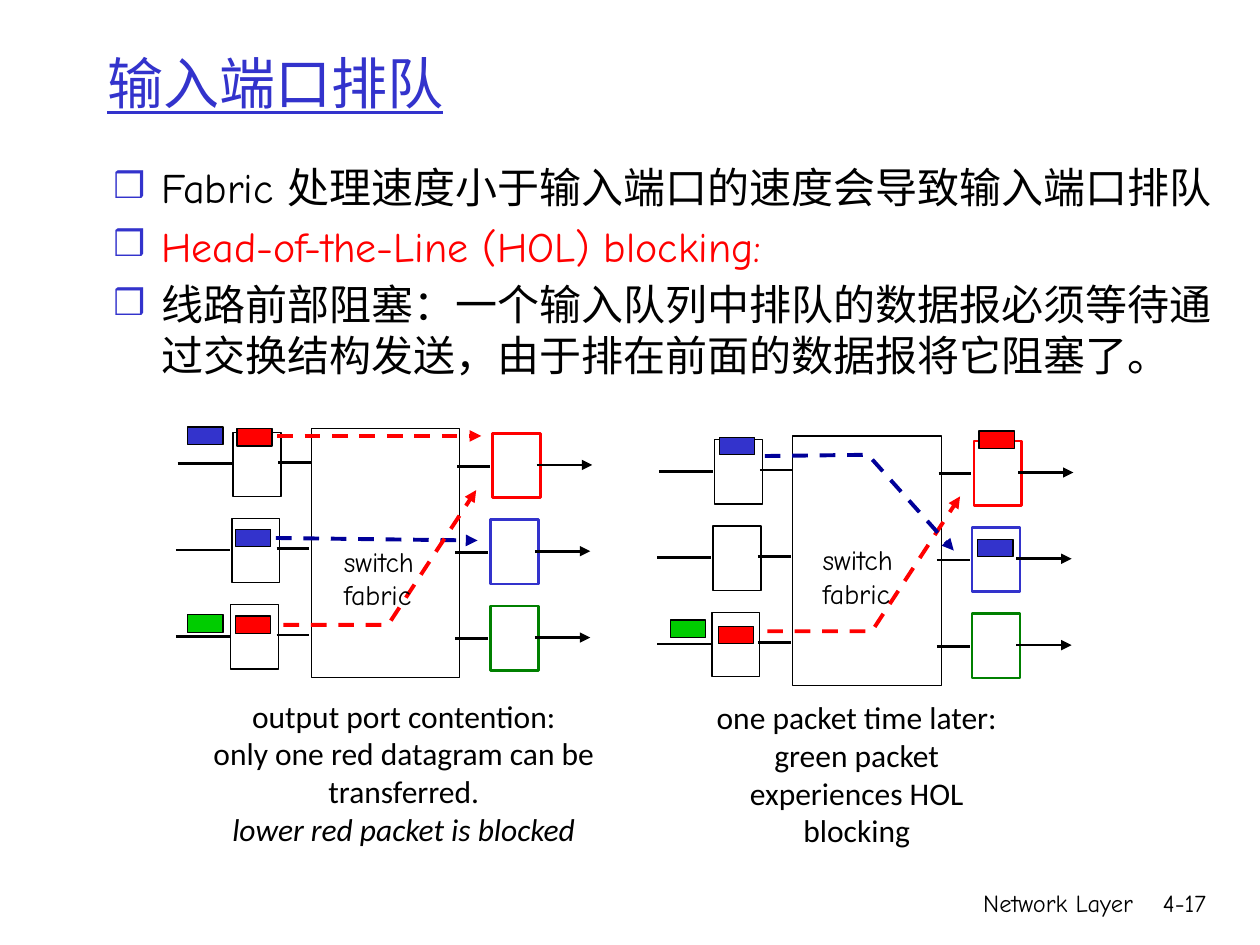
"""Build the slide on input port queuing and head-of-the-line blocking."""
from lxml import etree
from pptx import Presentation
from pptx.dml.color import RGBColor
from pptx.enum.dml import MSO_LINE
from pptx.enum.shapes import MSO_CONNECTOR, MSO_SHAPE
from pptx.enum.text import MSO_ANCHOR, MSO_AUTO_SIZE, PP_ALIGN
from pptx.oxml.ns import qn
from pptx.util import Inches, Pt

LEFT, CENTER, RIGHT = PP_ALIGN.LEFT, PP_ALIGN.CENTER, PP_ALIGN.RIGHT
MIDDLE, TOP = MSO_ANCHOR.MIDDLE, MSO_ANCHOR.TOP
NO_FIT = MSO_AUTO_SIZE.NONE
RECTANGLE, STRAIGHT, DASH = MSO_SHAPE.RECTANGLE, MSO_CONNECTOR.STRAIGHT, MSO_LINE.DASH

BLACK, WHITE, RED, BLUE = "000000", "FFFFFF", "FF0000", "3333CC"
NAVY, GREEN, DARK_GREEN = "000099", "00CC00", "008000"
HAND, PLAIN = "Comic Neue", "Calibri"

ROW_STEP = 0.685
ROW_SHIFTS = (0, -0.015, -0.015)
PORT_COLORS = (RED, BLUE, DARK_GREEN)
LATER_X, LATER_Y = 3.82, 0.06


def rgb(value):
    """Turn a hex string into a colour."""
    return RGBColor.from_string(value)


def write(paragraph, text, size=24, font=HAND, color=BLACK, align=LEFT, italic=False, underline=False):
    """Add a formatted run to a paragraph."""
    paragraph.alignment = align
    run = paragraph.add_run()
    run.text = text
    run.font.size = Pt(size)
    run.font.name = font
    run.font.color.rgb = rgb(color)
    run.font.italic = italic
    run.font.underline = underline


def add_bullet(paragraph):
    """Give a paragraph a hanging box bullet."""
    properties = paragraph._p.get_or_add_pPr()
    properties.set("marL", str(Inches(0.38)))
    properties.set("indent", str(Inches(-0.38)))
    color = etree.SubElement(properties, qn("a:buClr"))
    etree.SubElement(color, qn("a:srgbClr"), val=BLUE)
    etree.SubElement(properties, qn("a:buSzPct"), val="85000")
    etree.SubElement(properties, qn("a:buFont"), typeface=HAND)
    etree.SubElement(properties, qn("a:buChar"), char="❒")


class SlideBuilder:
    """Hold the style and the current slide."""

    def __init__(self, slide):
        """Keep the slide to draw on."""
        self.slide = slide
        self.shapes = slide.shapes

    def place(self, shape, left, top, width, height, anchor):
        """Move a placeholder and return its text frame."""
        shape.left, shape.top = Inches(left), Inches(top)
        shape.width, shape.height = Inches(width), Inches(height)
        frame = shape.text_frame
        frame.word_wrap = True
        frame.auto_size = NO_FIT
        frame.vertical_anchor = anchor
        return frame

    def title(self, text):
        """Fill the title placeholder."""
        frame = self.place(self.shapes.title, 0.75, 0.4, 8.5, 0.5, MIDDLE)
        write(frame.paragraphs[0], text, size=32, color=BLUE, underline=True)

    def bullets(self, items):
        """Fill the body placeholder with coloured bullets."""
        frame = self.place(self.slide.placeholders[1], 0.8, 1.23, 9.02, 3.3, TOP)
        for index, (text, color) in enumerate(items):
            paragraph = frame.paragraphs[0] if index == 0 else frame.add_paragraph()
            if index == 0:
                paragraph.space_before = Pt(0)
            add_bullet(paragraph)
            write(paragraph, text, color=color)

    def text(self, left, top, width, height, lines, wrap=True, **style):
        """Add a text box with one paragraph for each line."""
        box = self.shapes.add_textbox(Inches(left), Inches(top), Inches(width), Inches(height))
        frame = box.text_frame
        frame.word_wrap = wrap
        for index, line in enumerate(lines):
            paragraph = frame.paragraphs[0] if index == 0 else frame.add_paragraph()
            write(paragraph, line, **style)
        return frame

    def box(self, left, top, width, height, fill=WHITE, line=BLACK, weight=0.75):
        """Add a filled rectangle."""
        shape = self.shapes.add_shape(RECTANGLE, Inches(left), Inches(top), Inches(width), Inches(height))
        shape.shadow.inherit = False
        shape.fill.solid()
        shape.fill.fore_color.rgb = rgb(fill)
        shape.line.color.rgb = rgb(line)
        shape.line.width = Pt(weight)

    def packet(self, left, top, color):
        """Add a small coloured datagram."""
        self.box(left, top, 0.28, 0.14, fill=color)

    def stroke(self, shape, color, weight, dashed, arrow):
        """Style a line or an open path."""
        shape.line.color.rgb = rgb(color)
        shape.line.width = Pt(weight)
        if dashed:
            shape.line.dash_style = DASH
        if arrow:
            outline = shape._element.spPr.find(qn("a:ln"))
            etree.SubElement(outline, qn("a:tailEnd"), type="triangle")

    def line(self, start, end, color=BLACK, weight=1.5, dashed=False, arrow=False):
        """Add a straight connector."""
        points = [Inches(value) for value in (*start, *end)]
        connector = self.shapes.add_connector(STRAIGHT, *points)
        self.stroke(connector, color, weight, dashed, arrow)
        etree.SubElement(connector._element.spPr, qn("a:effectLst"))

    def route(self, points, color):
        """Add a dashed bent path with an arrowhead."""
        corners = [(Inches(x), Inches(y)) for x, y in points]
        builder = self.shapes.build_freeform(*corners[0], scale=1.0)
        builder.add_line_segments(corners[1:], close=False)
        shape = builder.convert_to_shape()
        shape.shadow.inherit = False
        shape.fill.background()
        self.stroke(shape, color, 2.25, True, True)

    def router(self, dx=0, dy=0):
        """Draw the switch fabric with three input and three output ports."""
        self.box(2.47 + dx, 3.4 + dy, 1.18, 1.98)
        for row, (shift, color) in enumerate(zip(ROW_SHIFTS, PORT_COLORS)):
            x, y = dx + shift, dy + row * ROW_STEP
            self.box(1.85 + dx - 0.01 * row, 3.43 + y, 0.38, 0.51)
            self.box(3.91 + x, 3.44 + y, 0.38, 0.51, line=color, weight=1.5)
            for left, top, length in ((3.63, 3.7, 0.26), (2.21, 3.67, 0.26), (1.41, 3.68, 0.43)):
                self.line((left + x, top + y), (left + length + x, top + y))
            self.line((4.26 + x, 3.69 + y), (4.7 + x, 3.69 + y), arrow=True)


def main():
    """Build and save the presentation."""
    presentation = Presentation()
    presentation.slide_width, presentation.slide_height = Inches(10), Inches(7.5)
    builder = SlideBuilder(presentation.slides.add_slide(presentation.slide_layouts[1]))

    builder.title("输入端口排队")
    builder.bullets([
        ("Fabric 处理速度小于输入端口的速度会导致输入端口排队", BLACK),
        ("Head-of-the-Line (HOL) blocking:", RED),
        ("线路前部阻塞：一个输入队列中排队的数据报必须等待通过交换结构发送，由于排在前面的数据报将它阻塞了。", BLACK),
    ])
    builder.text(5.92, 7, 3.17, 0.5, ["Network Layer"], size=14, align=RIGHT)
    builder.text(8.93, 7, 0.74, 0.5, ["4-17"], size=14, align=RIGHT)

    builder.router()
    builder.router(LATER_X, LATER_Y)
    for left, top, color in (
        (1.88, 3.4, RED), (1.87, 4.2, BLUE), (1.87, 4.89, RED),
        (1.49, 3.39, BLUE), (1.49, 4.88, GREEN),
        (7.77, 3.42, RED), (5.71, 3.47, BLUE), (5.7, 4.97, RED),
        (5.32, 4.92, GREEN), (7.76, 4.28, BLUE),
    ):
        builder.packet(left, top, color)

    builder.line((2.2, 3.46), (3.82, 3.46), RED, 2.25, dashed=True, arrow=True)
    builder.line((2.19, 4.27), (3.79, 4.29), NAVY, 2.25, dashed=True, arrow=True)
    builder.route([(2.25, 4.96), (3.08, 4.96), (3.78, 3.89)], RED)
    builder.route([(6.09, 5.01), (6.92, 5.01), (7.62, 3.94)], RED)
    builder.route([(6.07, 3.62), (6.89, 3.61), (7.57, 4.37)], NAVY)
    for left, top in ((2.63, 4.27), (6.43, 4.26)):
        builder.text(left, top, 0.82, 0.64, ["switch", "fabric"], wrap=False, size=16)

    caption = {"size": 18, "font": PLAIN, "align": CENTER}
    contention = builder.text(
        1.35, 5.48, 3.71, 1.3,
        ["output port contention:", "only one red datagram can be transferred."], **caption)
    contention.paragraphs[-1].add_line_break()
    write(contention.paragraphs[-1], "lower red packet is blocked", italic=True, **caption)
    builder.text(
        5.58, 5.49, 2.44, 1.3,
        ["one packet time later: green packet experiences HOL blocking"], **caption)

    presentation.save("out.pptx")


if __name__ == "__main__":
    main()
